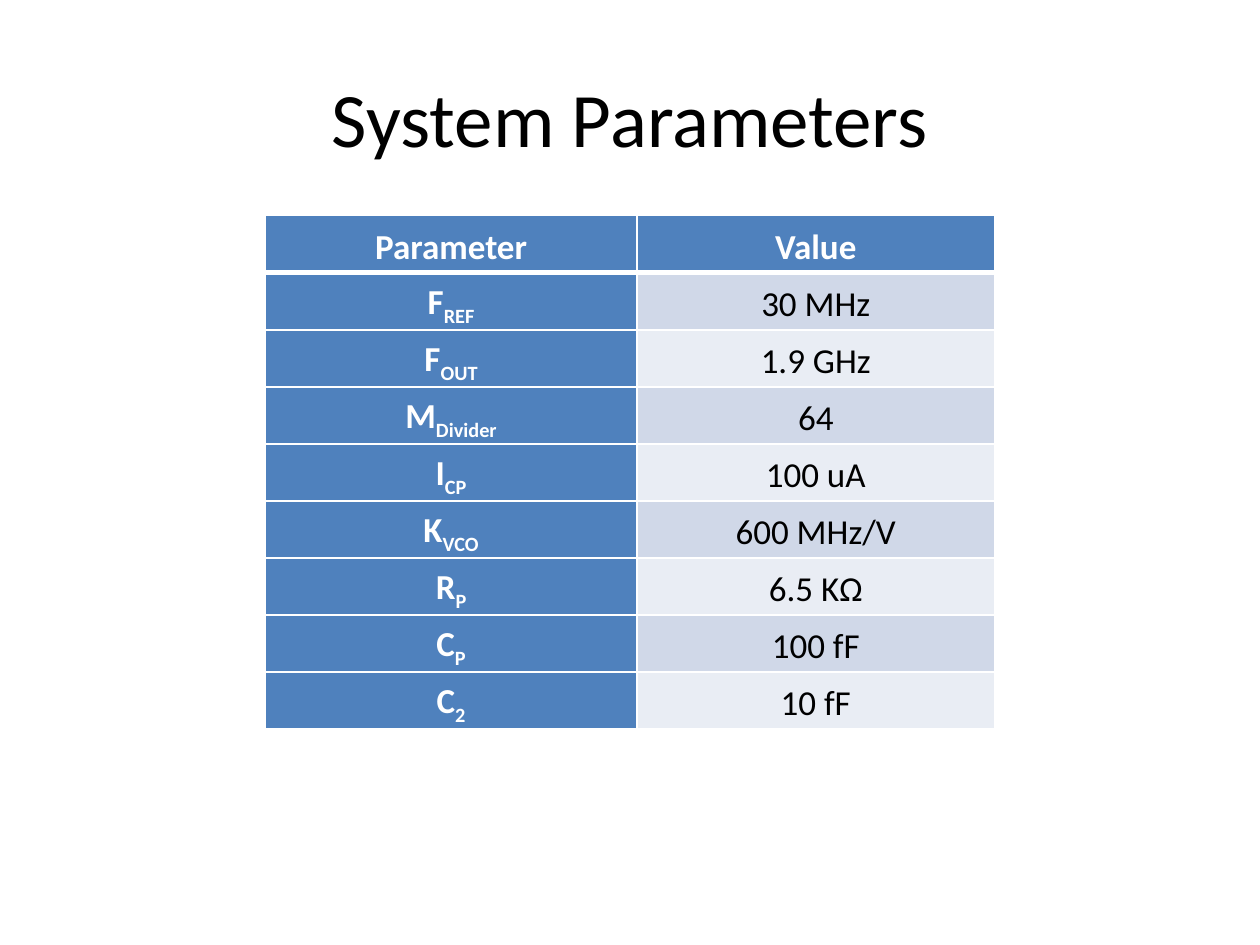
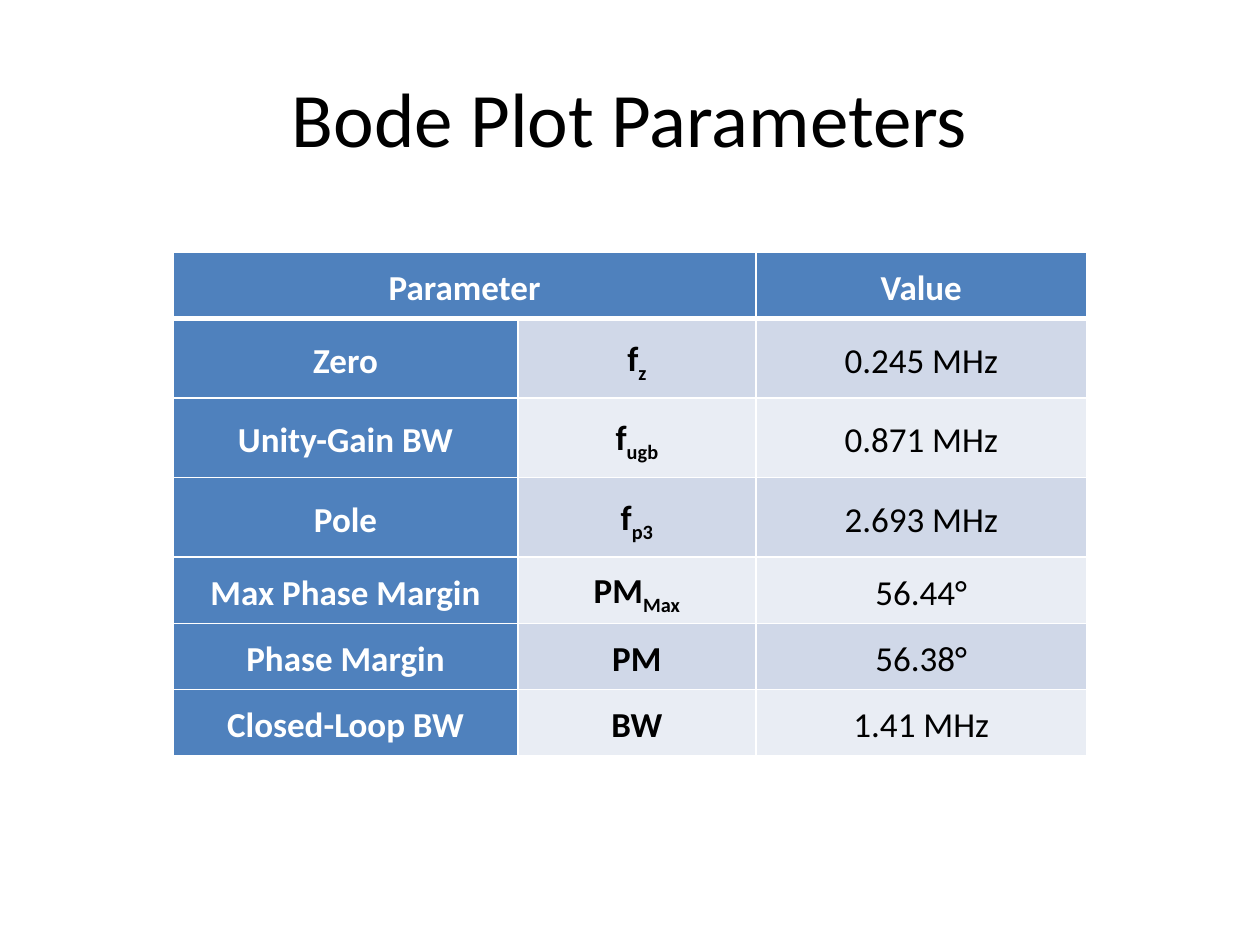
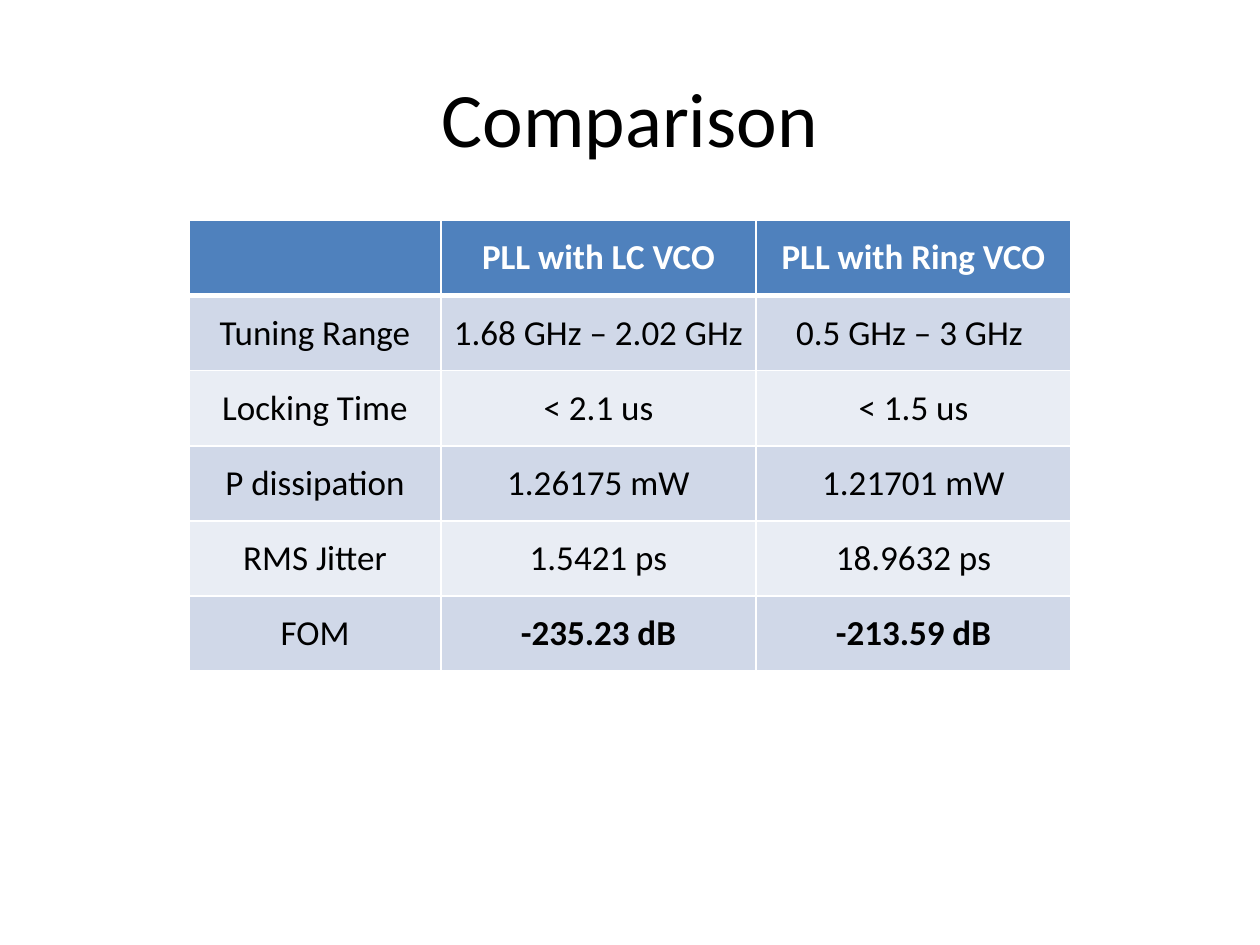
import pptx
import pptx.dml.color
import pptx.enum.text
import pptx.oxml.ns
import pptx.util
from lxml import etree


def rgb(code):
    return pptx.dml.color.RGBColor.from_string(code)


class Deck:
    """Slides in one style, measured in percent of the slide's width and height."""

    FONT = "Calibri"
    INK, PAPER, HEAD = "000000", "FFFFFF", "4F81BD"
    BANDS = ("D0D8E8", "E9EDF4")
    THIN, THICK = 1, 3

    def __init__(self):
        self.prs = pptx.Presentation()
        self.prs.slide_width = pptx.util.Inches(10)
        self.prs.slide_height = pptx.util.Inches(7.5)
        self.slide = None

    def x(self, percent):
        return round(self.prs.slide_width * percent / 100)

    def y(self, percent):
        return round(self.prs.slide_height * percent / 100)

    def style(self, p, size, color, bold=False):
        p.alignment = pptx.enum.text.PP_ALIGN.CENTER
        p.font.name = self.FONT
        p.font.size = pptx.util.Pt(size)
        p.font.color.rgb = rgb(color)
        p.font.bold = bold

    def add_slide(self, title):
        self.slide = self.prs.slides.add_slide(self.prs.slide_layouts[5])
        sp = self.slide.shapes.title
        sp.left, sp.top, sp.width, sp.height = self.x(5), self.y(4), self.x(90), self.y(16.67)
        tf = sp.text_frame
        tf.vertical_anchor = pptx.enum.text.MSO_ANCHOR.MIDDLE
        tf.text = title
        self.style(tf.paragraphs[0], 44, self.INK)

    def add_border(self, cell, side, width):
        tcPr = cell._tc.get_or_add_tcPr()
        ln = etree.SubElement(tcPr, pptx.oxml.ns.qn("a:ln" + side), w=str(pptx.util.Pt(width)))
        fill = etree.SubElement(ln, pptx.oxml.ns.qn("a:solidFill"))
        etree.SubElement(fill, pptx.oxml.ns.qn("a:srgbClr"), val=self.PAPER)

    def add_label(self, p, text):
        base, _, subscript = text.partition("_")
        p.add_run().text = base
        if subscript:
            r = p.add_run()
            r.text = subscript
            r._r.get_or_add_rPr().set("baseline", "-25000")

    def fill_cell(self, cell, text, row, is_head, bold, compact):
        for side in "LRTB":
            under_head = (row, side) in ((0, "B"), (1, "T"))
            self.add_border(cell, side, self.THICK if under_head else self.THIN)
        cell.fill.solid()
        cell.fill.fore_color.rgb = rgb(self.HEAD if is_head else self.BANDS[(row - 1) % 2])
        cell.vertical_anchor = pptx.enum.text.MSO_ANCHOR.MIDDLE
        p = cell.text_frame.paragraphs[0]
        if compact:
            cell.margin_left = cell.margin_right = pptx.util.Inches(0.07)
            cell.margin_top = cell.margin_bottom = 0
            p.line_spacing = 1.15
        if text:
            self.add_label(p, text)
        self.style(p, 20, self.PAPER if is_head else self.INK, bold)

    def add_table(self, top, widths, heights, rows, head_cols=0, bold_cells=(), compact=True):
        left = (100 - sum(widths)) / 2
        table = self.slide.shapes.add_table(
            len(rows), len(widths), self.x(left), self.y(top),
            self.x(sum(widths)), self.y(sum(heights))).table
        for column, width in zip(table.columns, widths):
            column.width = self.x(width)
        for line, height in zip(table.rows, heights):
            line.height = self.y(height)
        for i, texts in enumerate(rows):
            for j, text in enumerate(texts):
                is_head = i == 0 or j < head_cols
                bold = is_head or (i, j) in bold_cells
                self.fill_cell(table.cell(i, j), text, i, is_head, bold, compact)
        return table


def main():
    deck = Deck()

    deck.add_slide("System Parameters")
    system = [
        ("Parameter", "Value"),
        ("F_REF", "30 MHz"),
        ("F_OUT", "1.9 GHz"),
        ("M_Divider", "64"),
        ("I_CP", "100 uA"),
        ("K_VCO", "600 MHz/V"),
        ("R_P", "6.5 KΩ"),
        ("C_P", "100 fF"),
        ("C_2", "10 fF"),
    ]
    deck.add_table(22.83, (29.5, 28.4), [6.04] * len(system), system, head_cols=1)

    deck.add_slide("Bode Plot Parameters")
    bode = [
        ("Parameter", "", "Value"),
        ("Zero", "f_z", "0.245 MHz"),
        ("Unity-Gain BW", "f_ugb", "0.871 MHz"),
        ("Pole", "f_p3", "2.693 MHz"),
        ("Max Phase Margin", "PM_Max", "56.44°"),
        ("Phase Margin", "PM", "56.38°"),
        ("Closed-Loop BW", "BW", "1.41 MHz"),
    ]
    symbols = [(i, 1) for i in range(1, len(bode))]
    table = deck.add_table(26.7, (27.35, 18.9, 26.25), [7] + [8.42] * 3 + [7] * 3, bode,
                           head_cols=1, bold_cells=symbols)
    table.cell(0, 0).merge(table.cell(0, 1))

    deck.add_slide("Comparison")
    comparison = [
        ("", "PLL with LC VCO", "PLL with Ring VCO"),
        ("Tuning Range", "1.68 GHz – 2.02 GHz", "0.5 GHz – 3 GHz "),
        ("Locking Time", "< 2.1 us", "< 1.5 us"),
        ("P dissipation", "1.26175 mW", "1.21701 mW"),
        ("RMS Jitter", "1.5421 ps", "18.9632 ps"),
        ("FOM", "-235.23 dB", "-213.59 dB"),
    ]
    deck.add_table(23.33, (20, 25, 25), [7.95] * len(comparison), comparison,
                   bold_cells=[(5, 1), (5, 2)], compact=False)

    deck.prs.save("out.pptx")


if __name__ == "__main__":
    main()
